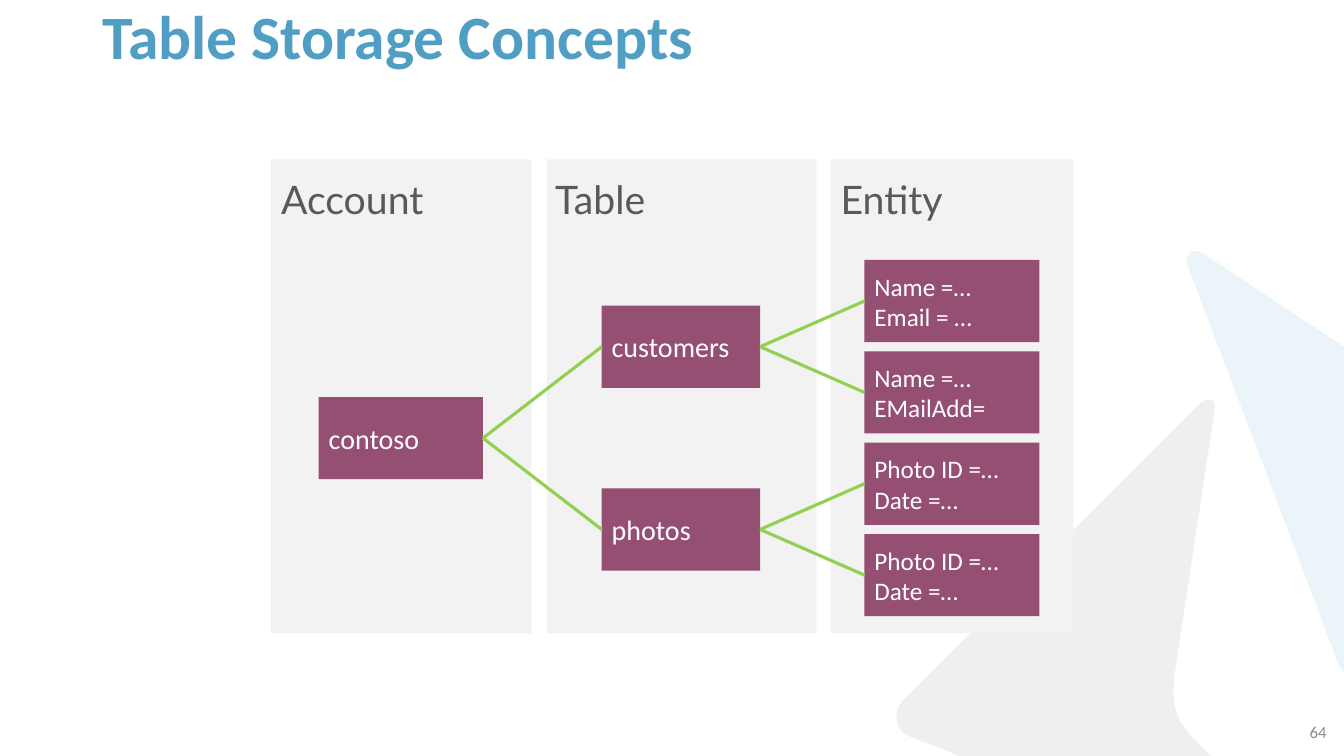
from dataclasses import dataclass

from lxml import etree
from pptx import Presentation
from pptx.dml.color import RGBColor
from pptx.enum.shapes import MSO_CONNECTOR, MSO_SHAPE
from pptx.enum.text import MSO_ANCHOR, PP_ALIGN
from pptx.oxml.ns import qn
from pptx.util import Pt

RECTANGLE = MSO_SHAPE.RECTANGLE
STRAIGHT = MSO_CONNECTOR.STRAIGHT
TOP, MIDDLE = MSO_ANCHOR.TOP, MSO_ANCHOR.MIDDLE
LEFT, RIGHT = PP_ALIGN.LEFT, PP_ALIGN.RIGHT
LEFT_SIDE, RIGHT_SIDE = 1, 3


@dataclass(frozen=True)
class Theme:
    title: str = "509EC3"
    stone: str = "66747C"
    panel: str = "F2F2F2"
    heading: str = "595959"
    node: str = "954F72"
    on_node: str = "FFFFFF"
    link: str = "92D050"
    number: str = "8C8C8C"
    font: str = "Calibri"
    heading_font: str = "Lato"
    title_size: float = 44
    heading_size: float = 28
    node_size: float = 20
    entity_size: float = 18
    number_size: float = 12


@dataclass(frozen=True)
class Style:
    size: float
    color: str
    font: str
    bold: bool = False
    spacing: float = 1.0
    align: PP_ALIGN = LEFT
    anchor: MSO_ANCHOR = MIDDLE
    insets: tuple[float, float, float, float] = (7.2, 3.6, 7.2, 3.6)


@dataclass(frozen=True)
class Column:
    name: str
    left: float
    width: float
    label_left: float
    node_left: float
    node_width: float


@dataclass(frozen=True)
class Node:
    lines: tuple[str, ...]
    children: tuple["Node", ...] = ()


@dataclass(frozen=True)
class Decoration:
    color: str
    start: tuple[float, float]
    steps: tuple[tuple[float, ...], ...]  # 2 numbers: line; 6 numbers: curve


T = Theme()
TITLE = Style(T.title_size, T.title, T.font, bold=True, spacing=0.9)
HEADING = Style(T.heading_size, T.heading, T.heading_font, spacing=0.9,
                anchor=TOP, insets=(7.2, 19.4, 19.4, 19.4))
NODE = Style(T.node_size, T.on_node, T.font)
ENTITY = Style(T.entity_size, T.on_node, T.font)
NUMBER = Style(T.number_size, T.number, T.font, align=RIGHT)

COLUMN_TOP, COLUMN_HEIGHT, LABEL_HEIGHT = 113.8, 338.4, 113
COLUMNS = (
    Column("Account", 193.7, 185.8, 193.7, 227.7, 117.3),
    Column("Table", 390.7, 192.5, 389.5, 429.8, 113.2),
    Column("Entity", 593.4, 173.3, 593.4, 617.5, 125),
)
ENTITY_TOP, ENTITY_STEP, NODE_HEIGHT = 185.7, 65.25, 58.7

PHOTO = Node(("Photo ID =…", "Date =…"))
ACCOUNT = Node(("contoso",), (
    Node(("customers",), (Node(("Name =…", "Email = …")),
                          Node(("Name =…", "EMailAdd=")))),
    Node(("photos",), (PHOTO, PHOTO)),
))

DECORATIONS = (
    Decoration(T.title, (854.6, 179.3), (
        (856.1, 179.3, 857.5, 180.1, 859.7, 181.4), (960, 247.7), (960, 480.2),
        (956.2, 474.5), (848.2, 189.4), (846, 184.3, 849.6, 179.3, 854.6, 179.3))),
    Decoration(T.stone, (864, 285.8), (
        (866.9, 285.8, 868.3, 288, 867.6, 293), (839.5, 478.8),
        (836.6, 500.4, 838.1, 511.2, 851, 525.6), (864.7, 540), (685.4, 540),
        (648.7, 525.6), (639.4, 521.3, 637.2, 508.3, 645.1, 500.4),
        (856.1, 289.4), (858.2, 287.3, 861.8, 285.1, 864, 285.8))),
)


def rgb(color: str) -> RGBColor:
    return RGBColor.from_string(color)


def paint(sp, color: str) -> None:
    sp.shadow.inherit = False
    sp.fill.solid()
    sp.fill.fore_color.rgb = rgb(color)
    sp.line.fill.background()


def write(sp, lines: tuple[str, ...], style: Style) -> None:
    tf = sp.text_frame
    tf.word_wrap = True
    tf.vertical_anchor = style.anchor
    tf.margin_left, tf.margin_top, tf.margin_right, tf.margin_bottom = map(Pt, style.insets)
    for i, line in enumerate(lines):
        p = tf.add_paragraph() if i else tf.paragraphs[0]
        p.alignment, p.line_spacing = style.align, style.spacing
        r = p.add_run()
        r.text = line
        r.font.name, r.font.size, r.font.bold = style.font, Pt(style.size), style.bold
        r.font.color.rgb = rgb(style.color)


def add_text(s, text: str, box: tuple[float, ...], style: Style) -> None:
    write(s.shapes.add_textbox(*map(Pt, box)), (text,), style)


def add_box(s, box: tuple[float, ...], color: str):
    sp = s.shapes.add_shape(RECTANGLE, *map(Pt, box))
    paint(sp, color)
    return sp


def outline(shape: Decoration, samples: int = 12) -> list[tuple[int, int]]:
    """Turn the lines and cubic curves into short straight segments."""
    points, (x, y) = [], shape.start
    for step in shape.steps:
        if len(step) == 2:
            points.append(step)
        else:
            x1, y1, x2, y2, x3, y3 = step
            for i in range(1, samples + 1):
                t = i / samples
                a, b, c, d = (1 - t) ** 3, 3 * t * (1 - t) ** 2, 3 * t * t * (1 - t), t ** 3
                points.append((a * x + b * x1 + c * x2 + d * x3,
                               a * y + b * y1 + c * y2 + d * y3))
        x, y = step[-2:]
    return [(Pt(px), Pt(py)) for px, py in points]


def add_decoration(s, shape: Decoration) -> None:
    builder = s.shapes.build_freeform(*map(Pt, shape.start))
    builder.add_line_segments(outline(shape), close=True)
    sp = builder.convert_to_shape()
    paint(sp, shape.color)
    color = sp.fill._xPr.find(qn("a:solidFill"))[0]
    etree.SubElement(color, qn("a:alpha")).set("val", "11000")


def add_link(s, parent, child) -> None:
    link = s.shapes.add_connector(STRAIGHT, 0, 0, 0, 0)
    link.begin_connect(parent, RIGHT_SIDE)
    link.end_connect(child, LEFT_SIDE)
    link.line.color.rgb = rgb(T.link)
    link.line.width = Pt(2.25)
    etree.SubElement(link._element.spPr, qn("a:effectLst"))


def add_tree(s, node: Node, depth: int, first_leaf: int):
    """Draw a node centred on its children; return its shape, top and leaf count."""
    children, tops, leaves = [], [], 0
    for child in node.children:
        child_sp, child_top, count = add_tree(s, child, depth + 1, first_leaf + leaves)
        children.append(child_sp)
        tops.append(child_top)
        leaves += count
    top = sum(tops) / len(tops) if tops else ENTITY_TOP + first_leaf * ENTITY_STEP
    column = COLUMNS[depth]
    sp = add_box(s, (column.node_left, top, column.node_width, NODE_HEIGHT), T.node)
    write(sp, node.lines, NODE if children else ENTITY)
    for child_sp in children:
        add_link(s, sp, child_sp)
    return sp, top, max(leaves, 1)


def main() -> None:
    prs = Presentation()
    prs.slide_width, prs.slide_height = Pt(960), Pt(540)
    s = prs.slides.add_slide(prs.slide_layouts[6])

    # Background and title
    for decoration in DECORATIONS:
        add_decoration(s, decoration)
    add_text(s, "Table Storage Concepts", (66, 0, 828, 57), TITLE)

    # Column panels with headings
    for column in COLUMNS:
        add_box(s, (column.left, COLUMN_TOP, column.width, COLUMN_HEIGHT), T.panel)
        add_text(s, column.name,
                 (column.label_left, COLUMN_TOP, column.width, LABEL_HEIGHT), HEADING)

    # Storage tree and slide number
    add_tree(s, ACCOUNT, 0, 0)
    add_text(s, "64", (911.5, 508.5, 43.2, 28.8), NUMBER)
    prs.save("out.pptx")


if __name__ == "__main__":
    main()
